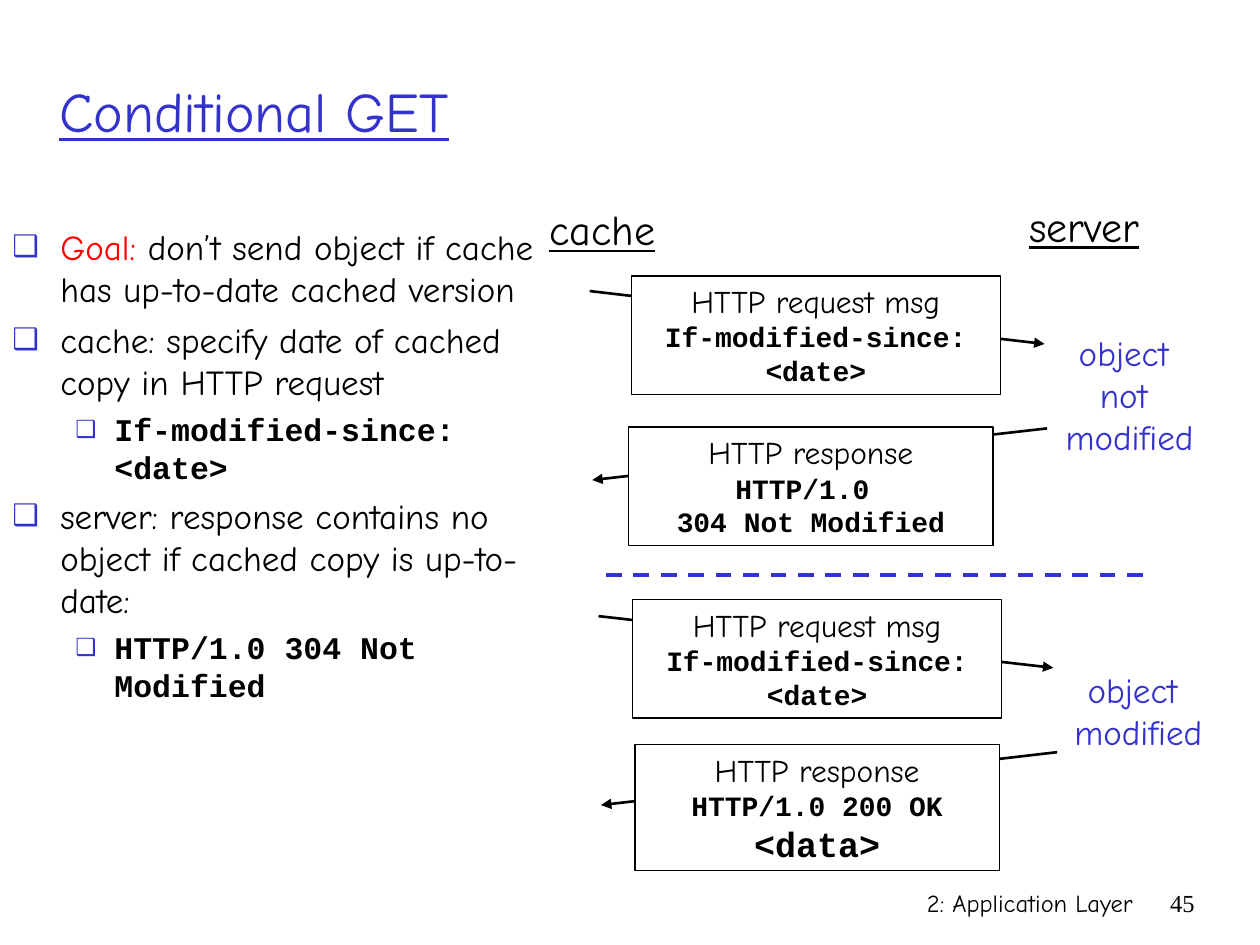
from lxml import etree
from pptx import Presentation
from pptx.dml.color import RGBColor
from pptx.enum import dml, shapes, text
from pptx.oxml import ns
from pptx.util import Inches, Pt

BLACK, BLUE, RED, WHITE = "000000", "3333CC", "FF0000", "FFFFFF"
HAND, CODE, SERIF = "Comic Neue", "Courier New", "Times New Roman"
LEFT, CENTER, RIGHT = text.PP_ALIGN.LEFT, text.PP_ALIGN.CENTER, text.PP_ALIGN.RIGHT


def rgb(value):
    return RGBColor.from_string(value)


def add_run(paragraph, words, size, face=HAND, color=BLACK, underline=False):
    run = paragraph.add_run()
    run.text = words
    font = run.font
    font.size, font.name, font.underline = Pt(size), face, underline
    font.bold = face == CODE
    font.color.rgb = rgb(color)


def next_paragraph(frame, index):
    return frame.add_paragraph() if index else frame.paragraphs[0]


def add_lines(frame, lines, align):
    """Each line is a tuple of add_run arguments."""
    for index, line in enumerate(lines):
        paragraph = next_paragraph(frame, index)
        paragraph.alignment = align
        add_run(paragraph, *line)


def add_label(slide, box, lines, align=CENTER, wrap=False, anchor=text.MSO_ANCHOR.TOP):
    frame = slide.shapes.add_textbox(*map(Inches, box)).text_frame
    frame.word_wrap = wrap
    frame.vertical_anchor = anchor
    if not wrap:
        frame.auto_size = text.MSO_AUTO_SIZE.SHAPE_TO_FIT_TEXT
    add_lines(frame, lines, align)


def add_message(slide, box, heading, code_lines):
    message = slide.shapes.add_shape(shapes.MSO_SHAPE.RECTANGLE, *map(Inches, box))
    message.shadow.inherit = False
    message.fill.solid()
    message.fill.fore_color.rgb = rgb(WHITE)
    message.line.color.rgb = rgb(BLACK)
    message.line.width = Pt(0.75)
    frame = message.text_frame
    frame.word_wrap = True
    frame.vertical_anchor = text.MSO_ANCHOR.TOP
    frame.auto_size = text.MSO_AUTO_SIZE.SHAPE_TO_FIT_TEXT
    lines = [(heading, 18)] + [(words, size, CODE) for words, size in code_lines]
    add_lines(frame, lines, CENTER)


def add_line(slide, start, end, color=BLACK, width=1.5, arrow=True):
    line = slide.shapes.add_connector(
        shapes.MSO_CONNECTOR.STRAIGHT, *map(Inches, start + end))
    line.line.color.rgb = rgb(color)
    line.line.width = Pt(width)
    if arrow:
        etree.SubElement(line.line._get_or_add_ln(), ns.qn("a:tailEnd"), type="triangle")
    else:
        line.line.dash_style = dml.MSO_LINE.DASH
    etree.SubElement(line._element.spPr, ns.qn("a:effectLst"))


def set_bullet(paragraph, level):
    indent, hang, size = ((0.38, 0.38, 85), (0.81, 0.31, 75))[level]
    paragraph.level = level
    props = paragraph._p.get_or_add_pPr()
    props.set("marL", str(Inches(indent)))
    props.set("indent", str(-Inches(hang)))
    color = etree.SubElement(props, ns.qn("a:buClr"))
    etree.SubElement(color, ns.qn("a:srgbClr"), val=BLUE)
    etree.SubElement(props, ns.qn("a:buSzPct"), val=str(size * 1000))
    etree.SubElement(props, ns.qn("a:buFont"), typeface="Arial")
    etree.SubElement(props, ns.qn("a:buChar"), char="❑")


def add_bullets(slide, box, items):
    frame = slide.shapes.add_textbox(*map(Inches, box)).text_frame
    frame.word_wrap = True
    for index, (level, runs) in enumerate(items):
        paragraph = next_paragraph(frame, index)
        set_bullet(paragraph, level)
        if index:
            paragraph.space_before = Pt((5, 4.5)[level])
        for words, color in runs:
            size, face = ((20, HAND), (18, CODE))[level]
            add_run(paragraph, words, size, face, color)


def main():
    deck = Presentation()
    deck.slide_width, deck.slide_height = Inches(10), Inches(7.5)
    slide = deck.slides.add_slide(deck.slide_layouts[6])

    # Footer and title
    add_label(slide, (5.92, 7, 3.17, 0.5), [("2: Application Layer", 14)], RIGHT, True)
    add_label(slide, (9.08, 7, 0.5, 0.5), [("45", 14, SERIF)], RIGHT, True)
    add_label(slide, (0.37, 0.25, 8.71, 1.25),
              [("Conditional GET", 32, HAND, BLUE, True)],
              LEFT, True, text.MSO_ANCHOR.MIDDLE)

    # Explanation
    add_bullets(slide, (0, 1.74, 4.42, 4.71), [
        (0, [("Goal:", RED),
             (" don’t send object if cache has up-to-date cached version", BLACK)]),
        (0, [("cache: specify date of cached copy in HTTP request", BLACK)]),
        (1, [("If-modified-since: <date>", BLACK)]),
        (0, [("server: response contains no object if cached copy is up-to-date:", BLACK)]),
        (1, [("HTTP/1.0 304 Not Modified", BLACK)]),
    ])

    # The two ends of the exchange
    add_label(slide, (4.26, 1.57, 1.04, 0.5), [("cache", 24, HAND, BLACK, True)])
    add_label(slide, (8.07, 1.54, 1.07, 0.5), [("server", 24, HAND, BLACK, True)])

    # Messages, each over its arrow
    request = ("HTTP request msg", [("If-modified-since: <date>", 16)])
    unchanged = ("HTTP response", [("HTTP/1.0 ", 16), ("304 Not Modified", 16)])
    changed = ("HTTP response", [("HTTP/1.0 200 OK", 16), ("<data>", 20)])
    exchanges = [
        ((4.68, 2.31), (8.29, 2.73), (5.01, 2.19, 2.93, 0.94), request),
        ((8.31, 3.4), (4.7, 3.81), (4.99, 3.39, 2.89, 0.94), unchanged),
        ((4.75, 4.89), (8.36, 5.3), (5.02, 4.76, 2.93, 0.94), request),
        ((8.39, 5.97), (4.77, 6.39), (5.04, 5.91, 2.89, 1), changed),
    ]
    for start, end, box, message in exchanges:
        add_line(slide, start, end)
        add_message(slide, box, *message)

    # Divider between the two cases
    add_line(slide, (4.81, 4.56), (9.08, 4.56), BLUE, 2.25, arrow=False)

    # Outcomes at the server
    for box, words in [
        ((8.33, 2.58, 1.27, 1.1), ("object ", "not ", "modified")),
        ((8.4, 5.26, 1.27, 0.77), ("object ", "modified")),
    ]:
        add_label(slide, box, [(word, 20, HAND, BLUE) for word in words])

    deck.save("out.pptx")


if __name__ == "__main__":
    main()
